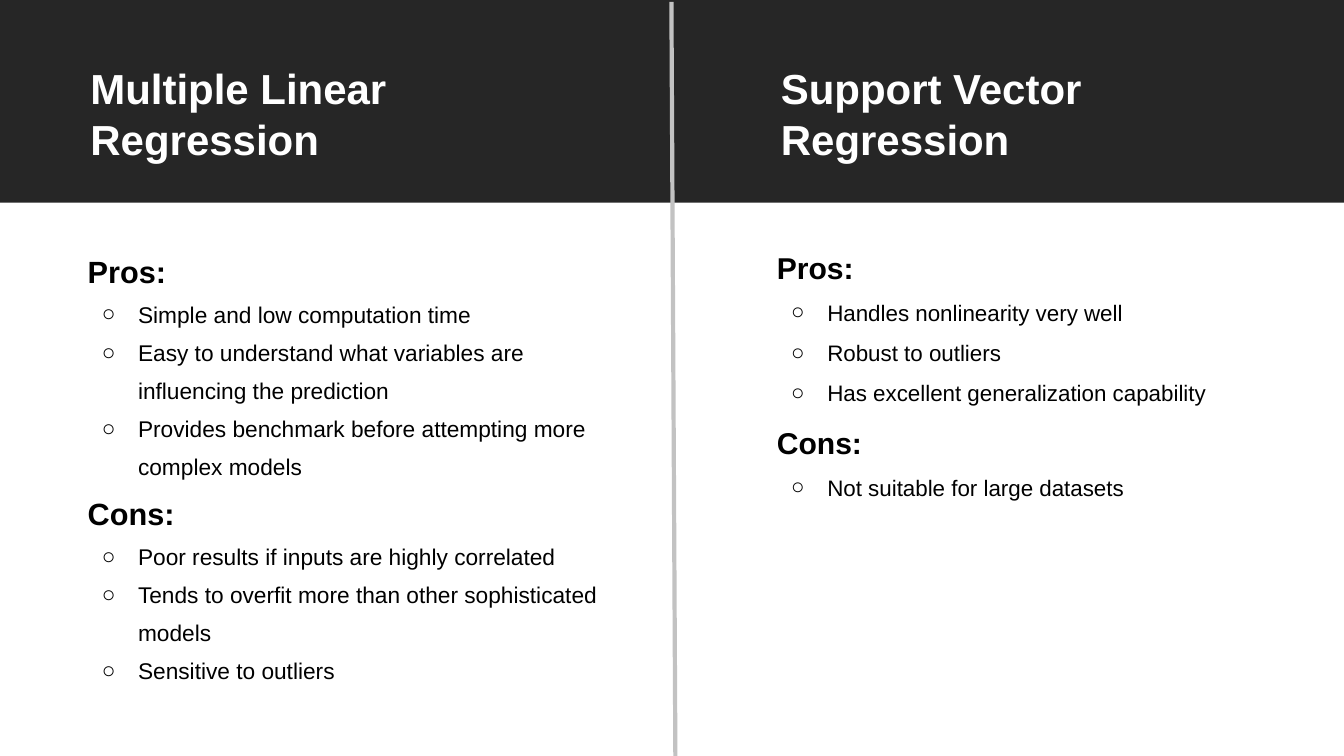
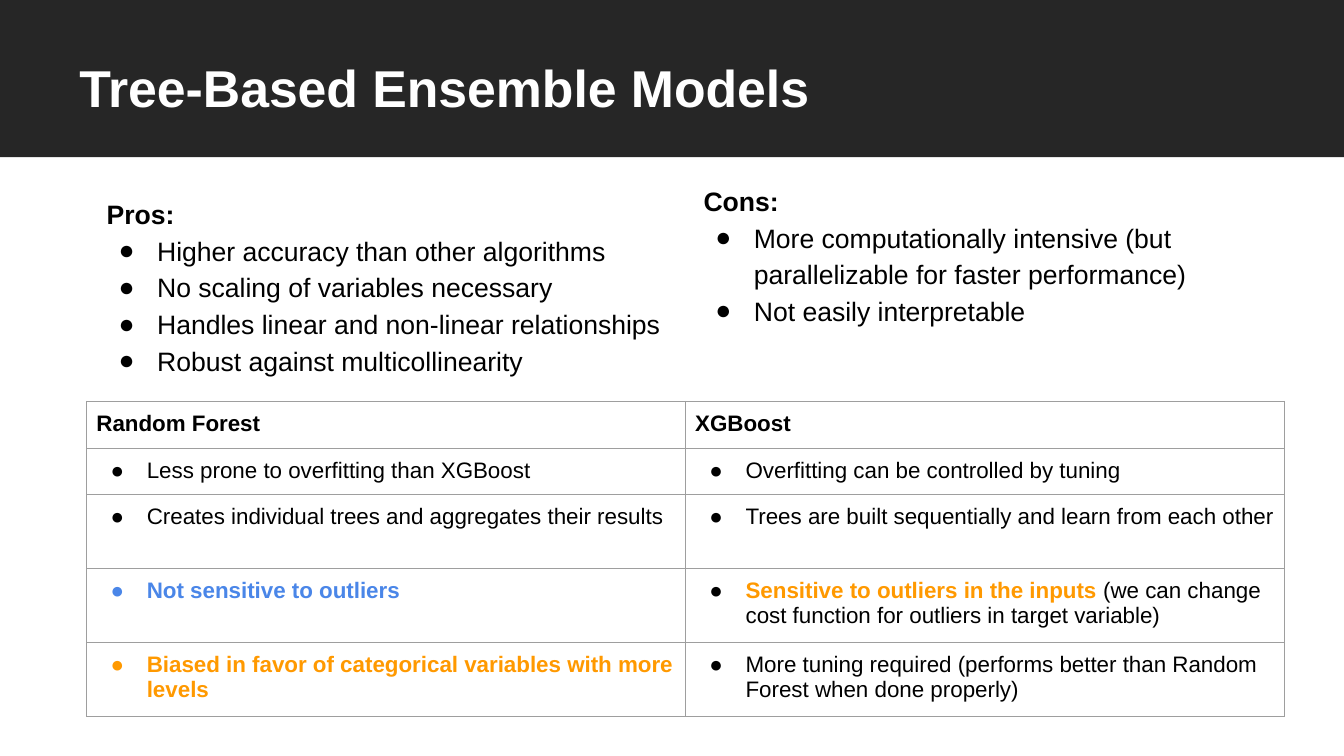
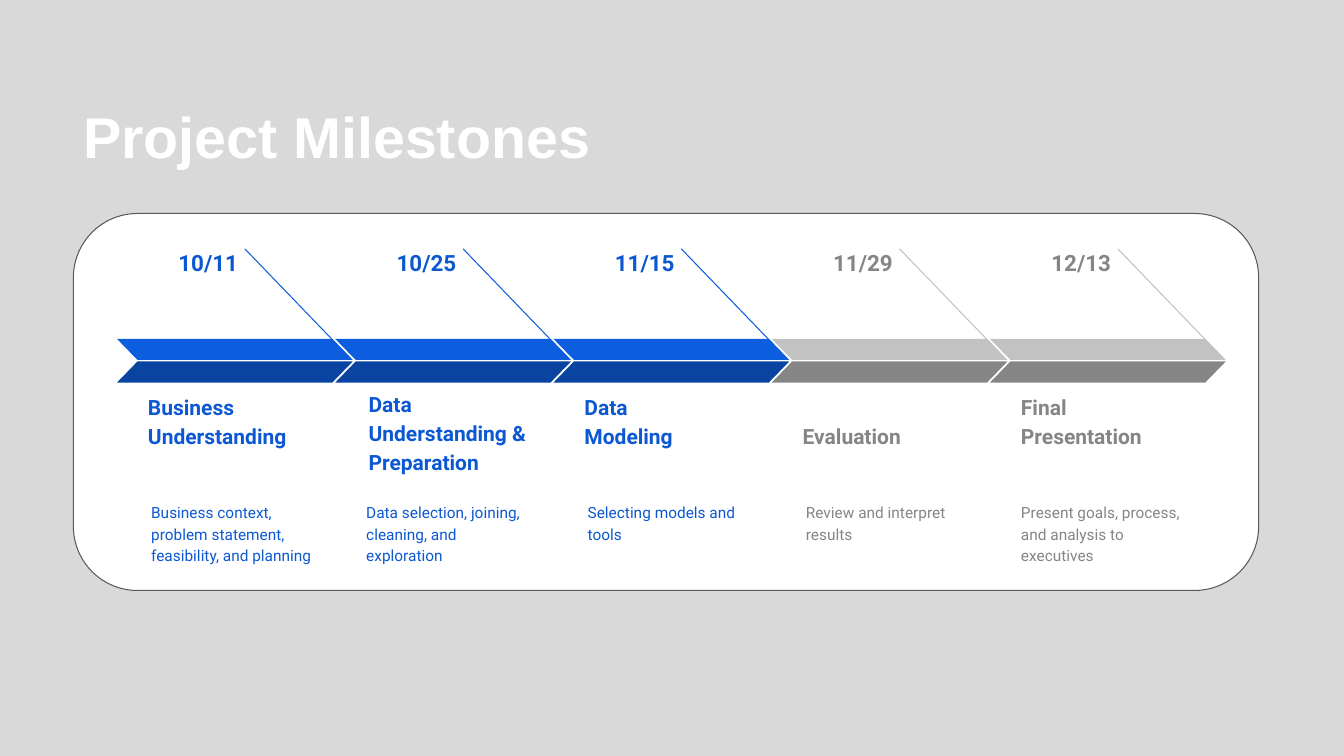
from dataclasses import dataclass

from lxml.etree import SubElement
from pptx import Presentation
from pptx.dml.color import RGBColor
from pptx.enum.shapes import MSO_CONNECTOR, MSO_SHAPE
from pptx.enum.text import MSO_ANCHOR, PP_ALIGN
from pptx.oxml.ns import qn
from pptx.util import Cm, Pt


@dataclass(frozen=True)
class Theme:
    """Colours, fonts and type sizes shared by the slides."""
    ink: str = "000000"
    white: str = "FFFFFF"
    band: str = "262626"
    backdrop: str = "D9D9D9"
    outline: str = "595959"
    grid: str = "9E9E9E"
    blue: str = "0D5DDF"
    navy: str = "0944A1"
    blue_text: str = "0C58D3"
    silver: str = "C2C2C2"
    gray: str = "858585"
    strength: str = "4A86E8"
    weakness: str = "FF9900"
    body_font: str = "Arial"
    timeline_font: str = "Roboto"
    split_title: float = 30
    slide_title: float = 37
    milestone_title: float = 41
    list_size: float = 19
    table_size: float = 16
    date_size: float = 16
    heading_size: float = 15
    detail_size: float = 11


THEME = Theme()
SLIDE_WIDTH, SLIDE_HEIGHT = 33.87, 19.05


@dataclass(frozen=True)
class Style:
    """The look of one run of text."""
    size: float
    color: str = THEME.ink
    bold: bool = False
    font: str = THEME.body_font


@dataclass(frozen=True)
class Line:
    """One paragraph: its runs, spacing, indents and bullet."""
    runs: tuple
    spacing: float = 1.0
    margin: float = 0
    hanging: float = 0
    bullet: str = ""
    bullet_color: str = THEME.ink
    alignment: PP_ALIGN = PP_ALIGN.LEFT


@dataclass(frozen=True)
class Milestone:
    """One step of the project timeline."""
    date: str
    heading: tuple
    detail: str
    done: bool
    heading_offset: float = 0.45
    heading_top: float = 9.98
    detail_offset: float = 0.53


def color_of(value):
    """Turn a hex string into a colour."""
    return RGBColor.from_string(value)


def fill_text(frame, lines):
    """Write paragraphs into a text frame, run by run."""
    for index, line in enumerate(lines):
        paragraph = frame.paragraphs[0] if index == 0 else frame.add_paragraph()
        paragraph.alignment = line.alignment
        paragraph.line_spacing = line.spacing
        properties = paragraph._p.get_or_add_pPr()
        properties.set("marL", str(Cm(line.margin)))
        properties.set("indent", str(Cm(-line.hanging)))
        if line.bullet:
            bullet_color = SubElement(properties, qn("a:buClr"))
            SubElement(bullet_color, qn("a:srgbClr"), val=line.bullet_color)
            SubElement(properties, qn("a:buFont"), typeface=THEME.body_font)
            SubElement(properties, qn("a:buChar"), char=line.bullet)
        for text, style in line.runs:
            run = paragraph.add_run()
            run.text = text
            run.font.name = style.font
            run.font.size = Pt(style.size)
            run.font.bold = style.bold
            run.font.color.rgb = color_of(style.color)


def add_text(slide, box, lines, insets=(0.25, 0.25), anchor=MSO_ANCHOR.TOP):
    """Add a wrapping text box with the given side and end insets."""
    frame = slide.shapes.add_textbox(*map(Cm, box)).text_frame
    frame.word_wrap = True
    frame.vertical_anchor = anchor
    frame.margin_left = frame.margin_right = Cm(insets[0])
    frame.margin_top = frame.margin_bottom = Cm(insets[1])
    fill_text(frame, lines)


def add_title(slide, box, texts, size, spacing=1.0, anchor=MSO_ANCHOR.MIDDLE):
    """Add a bold white title, one paragraph for each text."""
    style = Style(size, THEME.white, True)
    lines = [Line(((text, style),), spacing) for text in texts]
    add_text(slide, box, lines, (0.25, 0.13), anchor)


def add_preset(slide, preset, box, fill, outline=None):
    """Add a flat preset shape."""
    shape = slide.shapes.add_shape(preset, *map(Cm, box))
    shape.shadow.inherit = False
    shape.fill.solid()
    shape.fill.fore_color.rgb = color_of(fill)
    if outline:
        shape.line.color.rgb = color_of(outline)
        shape.line.width = Pt(0.75)
    else:
        shape.line.fill.background()
    return shape


def add_band(slide, height):
    """Add the dark band behind a title."""
    add_preset(slide, MSO_SHAPE.RECTANGLE, (0, 0, SLIDE_WIDTH, height), THEME.band)


def add_line(slide, start, end, color, width=0.75):
    """Add a straight line without a shadow."""
    connector = slide.shapes.add_connector(
        MSO_CONNECTOR.STRAIGHT, *map(Cm, (*start, *end)))
    connector.line.color.rgb = color_of(color)
    connector.line.width = Pt(width)
    SubElement(connector.element.spPr, qn("a:effectLst"))


def pros_and_cons(pros, cons, heading_size, item_size, spacing):
    """Build the paragraphs that weigh up one model."""
    lines = []
    for heading, items in (("Pros:", pros), ("Cons:", cons)):
        lines.append(Line(((heading, Style(heading_size, bold=True)),), spacing, 1.27))
        lines += [Line(((item, Style(item_size)),), spacing, 2.54, 0.91, "○")
                  for item in items]
    return lines


def headed_list(heading, items, heading_spacing):
    """Build a bold heading followed by bulleted paragraphs."""
    style = Style(THEME.list_size)
    title = Line(((heading, Style(THEME.list_size, bold=True)),), heading_spacing)
    return [title] + [Line(((item, style),), 1.15, 1.27, 0.97, "●") for item in items]


def table_point(*runs, bullet_color=THEME.ink):
    """Build a bulleted table paragraph from text and colour pairs."""
    styled = tuple((text, Style(THEME.table_size, color, color != THEME.ink))
                   for text, color in runs)
    return Line(styled, margin=1.27, hanging=0.91, bullet="●", bullet_color=bullet_color)


def style_cell(cell, line):
    """Give a cell its border, fill, insets and text."""
    properties = cell._tc.get_or_add_tcPr()
    for side in ("a:lnL", "a:lnR", "a:lnT", "a:lnB"):
        border = SubElement(properties, qn(side), w=str(Pt(0.75)))
        border_fill = SubElement(border, qn("a:solidFill"))
        SubElement(border_fill, qn("a:srgbClr"), val=THEME.grid)
    cell.fill.solid()
    cell.fill.fore_color.rgb = color_of(THEME.white)
    cell.margin_left = cell.margin_right = Cm(0.25)
    cell.margin_top = cell.margin_bottom = Cm(0.25)
    fill_text(cell.text_frame, [line])


def add_comparison(slide, left, top, column_width, row_heights, rows):
    """Add the two-column comparison table."""
    columns = len(rows[0])
    table = slide.shapes.add_table(
        len(rows), columns, Cm(left), Cm(top),
        Cm(column_width * columns), Cm(sum(row_heights))).table
    table.first_row = table.horz_banding = False
    for column in table.columns:
        column.width = Cm(column_width)
    for row, height, lines in zip(table.rows, row_heights, rows):
        row.height = Cm(height)
        for cell, line in zip(row.cells, lines):
            style_cell(cell, line)


def add_milestone(slide, left, milestone):
    """Add one arrow step with its date, heading and detail."""
    upper, lower, ink = ((THEME.blue, THEME.navy, THEME.blue_text) if milestone.done
                         else (THEME.silver, THEME.gray, THEME.gray))
    add_line(slide, (left + 3.22, 6.27), (left + 5.87, 9.02), upper)
    for top, fill in ((8.54, upper), (9.11, lower)):
        half = add_preset(slide, MSO_SHAPE.PARALLELOGRAM, (left, top, 5.94, 0.53), fill)
        half.adjustments[0] = 0.97
        if fill == upper:
            half.element.spPr.get_or_add_xfrm().set("flipH", "1")

    def lines(texts, size, bold, alignment=PP_ALIGN.LEFT):
        """Build timeline paragraphs in the colour of this step."""
        style = Style(size, ink, bold, THEME.timeline_font)
        return [Line(((text, style),), 1.15, alignment=alignment) for text in texts]

    insets = (0.33, 0.33)
    add_text(slide, (left + milestone.heading_offset, milestone.heading_top, 4.9, 1.65),
             lines(milestone.heading, THEME.heading_size, True), insets, MSO_ANCHOR.BOTTOM)
    add_text(slide, (left + milestone.detail_offset, 12.29, 4.9, 2.6),
             lines([milestone.detail], THEME.detail_size, False), insets)
    add_text(slide, (left + 1.07, 5.84, 2.31, 0.89),
             lines([milestone.date], THEME.date_size, True, PP_ALIGN.RIGHT), insets)


def build_regression(slide):
    """Compare the two regression models side by side."""
    add_band(slide, 5.11)
    add_title(slide, (2.03, 0, 14.88, 5.71), ("Multiple Linear", "Regression"),
              THEME.split_title)
    add_title(slide, (19.43, 0, 10.26, 5.71), ("Support Vector", "Regression"),
              THEME.split_title)
    add_text(slide, (0.94, 5.87, 15.06, 11.76), pros_and_cons(
        ("Simple and low computation time",
         "Easy to understand what variables are influencing the prediction",
         "Provides benchmark before attempting more complex models"),
        ("Poor results if inputs are highly correlated",
         "Tends to overfit more than other sophisticated models",
         "Sensitive to outliers"), 21.9, 16.2, 1.4), (0, 0.13))
    add_text(slide, (18.06, 5.58, 14.25, 7.5), pros_and_cons(
        ("Handles nonlinearity very well", "Robust to outliers",
         "Has excellent generalization capability"),
        ("Not suitable for large datasets",), 21.5, 16, 1.5))
    add_line(slide, (16.92, 0.05), (17.02, SLIDE_HEIGHT), THEME.silver, 3)


def build_ensembles(slide):
    """Weigh up tree ensembles and compare two of them in a table."""
    add_band(slide, 3.96)
    add_title(slide, (1.75, 0.58, 30.15, 3.4), ("Tree-Based Ensemble Models",),
              THEME.slide_title, 0.9)
    add_text(slide, (2.44, 4.34, 16.87, 5.33), headed_list("Pros:", (
        "Higher accuracy than other algorithms",
        "No scaling of variables necessary",
        "Handles linear and non-linear relationships",
        "Robust against multicollinearity"), 1.5))
    add_text(slide, (17.48, 4.29, 14.86, 4.14), headed_list("Cons:", (
        "More computationally intensive (but parallelizable for faster performance)",
        "Not easily interpretable"), 1.15))
    ink, strength, weakness = THEME.ink, THEME.strength, THEME.weakness
    header = Style(THEME.table_size, bold=True)
    rows = (
        (Line((("Random Forest", header),)), Line((("XGBoost", header),))),
        (table_point(("Less prone to overfitting than XGBoost", ink)),
         table_point(("Overfitting can be controlled by tuning", ink))),
        (table_point(("Creates individual trees and aggregates their results", ink)),
         table_point(("Trees are built sequentially and learn from each other", ink))),
        (table_point(("Not sensitive to outliers", strength), bullet_color=strength),
         table_point(("Sensitive to outliers in the inputs ", weakness),
                     ("(we can change cost function for outliers in target variable)",
                      ink))),
        (table_point(("Biased in favor of categorical variables with more levels",
                      weakness), bullet_color=weakness),
         table_point(("More tuning required (performs better than Random Forest "
                      "when done properly)", ink))),
    )
    add_comparison(slide, 2.18, 10.11, 15.09, (1.18, 1.18, 1.86, 1.86, 1.86), rows)


def build_milestones(slide):
    """Show the project timeline on a white card."""
    slide.background.fill.solid()
    slide.background.fill.fore_color.rgb = color_of(THEME.backdrop)
    card = add_preset(slide, MSO_SHAPE.ROUNDED_RECTANGLE, (1.85, 5.38, 29.87, 9.5),
                      THEME.white, THEME.outline)
    card.adjustments[0] = 0.17
    add_title(slide, (1.85, 1.85, 27.94, 2.59), ("Project Milestones",),
              THEME.milestone_title, 0.9, MSO_ANCHOR.BOTTOM)
    milestones = (
        Milestone("10/11", ("Business Understanding",),
                  "Business context, problem statement, feasibility, and planning", True),
        Milestone("10/25", ("Data Understanding & Preparation",),
                  "Data selection, joining, cleaning, and exploration", True,
                  0.51, 10.64, 0.45),
        Milestone("11/15", ("Data", "Modeling"), "Selecting models and tools", True),
        Milestone("11/29", ("Evaluation",), "Review and interpret results", False),
        Milestone("12/13", ("Final Presentation",),
                  "Present goals, process, and analysis to executives", False,
                  detail_offset=0.45),
    )
    for index, milestone in enumerate(milestones):
        add_milestone(slide, 2.95 + 5.5 * index, milestone)


def main():
    """Build and save the presentation."""
    presentation = Presentation()
    presentation.slide_width = Cm(SLIDE_WIDTH)
    presentation.slide_height = Cm(SLIDE_HEIGHT)
    blank_layout = presentation.slide_layouts[6]
    for build in (build_regression, build_ensembles, build_milestones):
        build(presentation.slides.add_slide(blank_layout))
    presentation.save("out.pptx")


if __name__ == "__main__":
    main()
